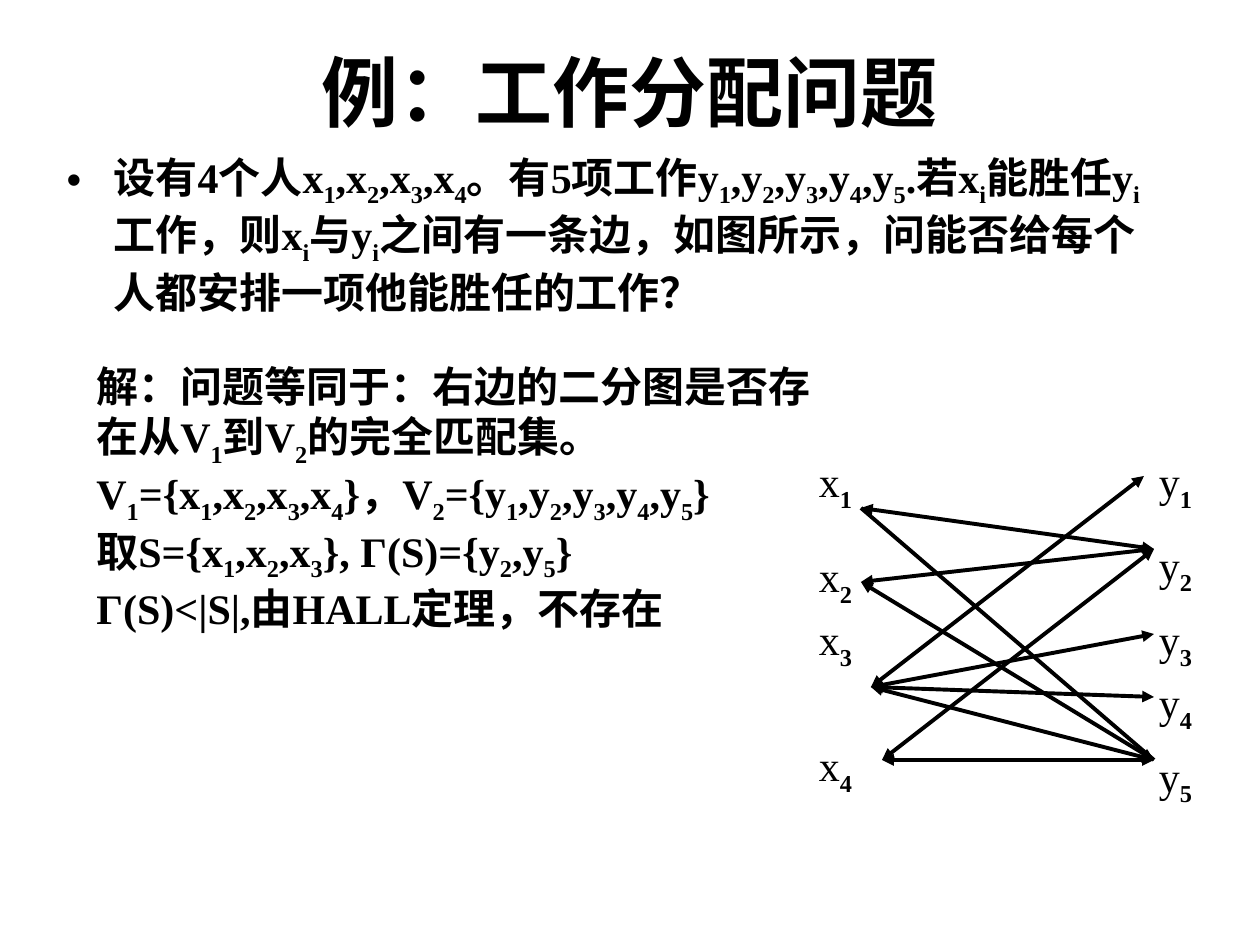
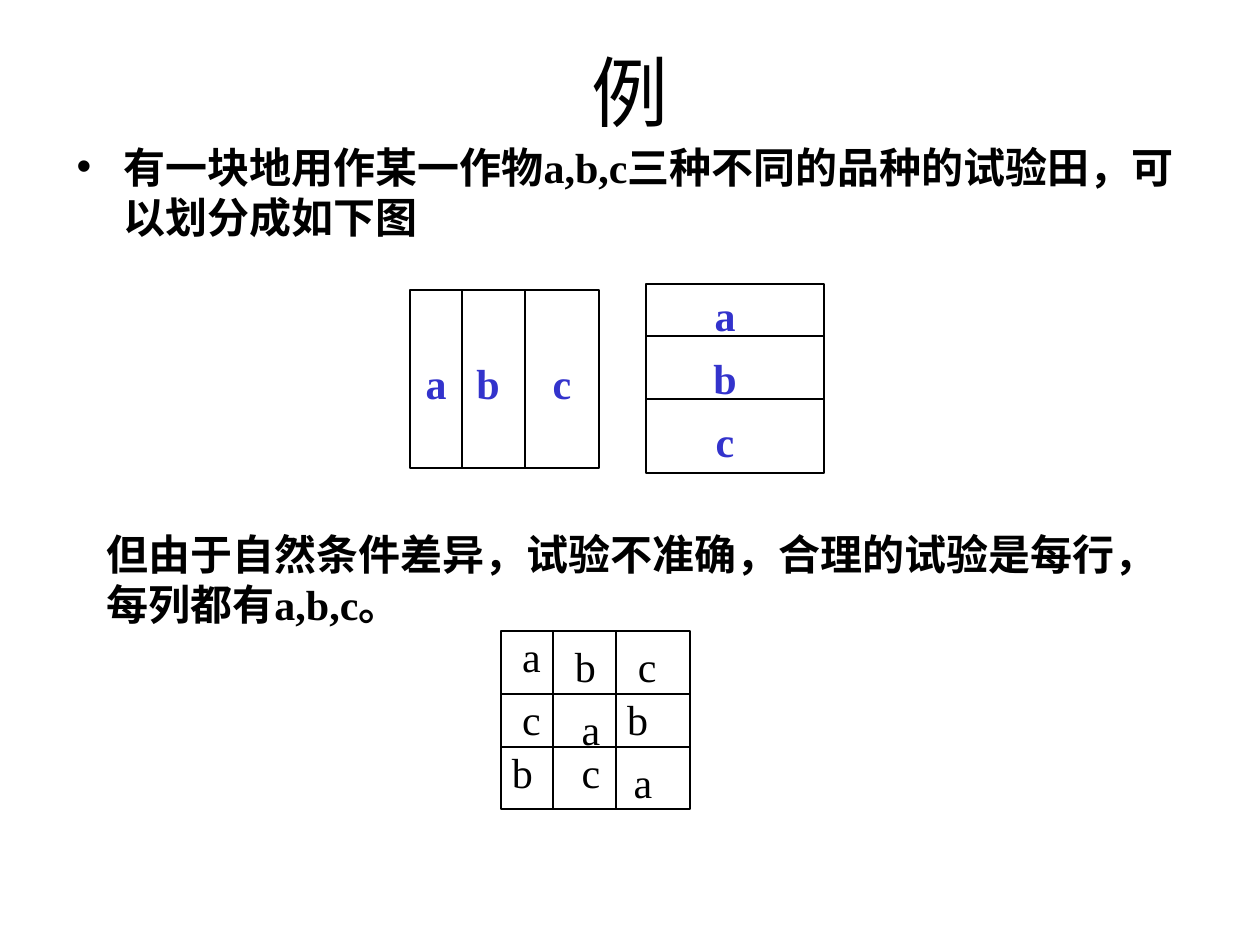
import pptx
import pptx.dml.color
import pptx.enum.shapes
import pptx.enum.text
import pptx.oxml.ns
import pptx.util
from lxml import etree

PX = 914400 / 126
FONT = "Times New Roman"
COLORS = {"ink": "000000", "letter": "3333CC", "paper": "FFFFFF"}
TITLE_BOX = (63, 38, 1134, 158)
LEFT = pptx.enum.text.PP_ALIGN.LEFT
CENTER = pptx.enum.text.PP_ALIGN.CENTER


def px(*values):
    """Turn whole px into EMU."""
    return [pptx.util.Emu(round(v * PX)) for v in values]


def rgb(name):
    """Look up a colour by name."""
    return pptx.dml.color.RGBColor.from_string(COLORS[name])


def sub(parent, tag, **attrs):
    """Append a drawing element with attributes."""
    return etree.SubElement(parent, pptx.oxml.ns.qn(tag), attrs)


def write(tf, text, size=24, bold=False, sub_bold=None, color="ink", align=LEFT):
    """Fill a frame, one paragraph a line; the character after _ is a subscript."""
    tf.word_wrap = True
    tf.auto_size = pptx.enum.text.MSO_AUTO_SIZE.NONE
    tf.vertical_anchor = pptx.enum.text.MSO_ANCHOR.TOP
    for i, line in enumerate(text.split("\n")):
        p = tf.add_paragraph() if i else tf.paragraphs[0]
        p.alignment = align
        p.space_before = pptx.util.Pt(0)
        first, *rest = line.split("_")
        pieces = [(first, False)]
        for part in rest:
            pieces += [(part[0], True), (part[1:], False)]
        for piece, lowered in pieces:
            if not piece:
                continue
            r = p.add_run()
            r.text = piece
            r.font.name = FONT
            r.font.size = pptx.util.Pt(size)
            r.font.bold = sub_bold if lowered and sub_bold is not None else bold
            r.font.color.rgb = rgb(color)
            if lowered:
                r.font._element.set("baseline", "-25000")


def add_text(shapes, box, text, inset=True, **fmt):
    """Add a text box, with or without the usual insets."""
    tf = shapes.add_textbox(*px(*box)).text_frame
    if not inset:
        tf.margin_left = tf.margin_top = tf.margin_right = tf.margin_bottom = 0
    write(tf, text, **fmt)


def add_line(shapes, start, end, width=1, arrows=False):
    """Draw a straight line, with arrowheads at both ends if asked."""
    kind = pptx.enum.shapes.MSO_CONNECTOR.STRAIGHT
    sp = shapes.add_connector(kind, *px(*start, *end))
    sp.line.color.rgb = rgb("ink")
    sp.line.width = pptx.util.Pt(width)
    if arrows:
        ln = sp.line._get_or_add_ln()
        for tag in ("a:headEnd", "a:tailEnd"):
            sub(ln, tag, type="triangle")
    sub(sp._element.spPr, "a:effectLst")


def add_slide(prs, title, body, body_box, title_bold):
    """Add a slide with its title and bulleted statement."""
    slide = prs.slides.add_slide(prs.slide_layouts[1])
    slide.background.fill.solid()
    slide.background.fill.fore_color.rgb = rgb("paper")
    for sp, box in ((slide.shapes.title, TITLE_BOX), (slide.placeholders[1], body_box)):
        sp.left, sp.top, sp.width, sp.height = px(*box)
    write(slide.shapes.title.text_frame, title, size=44, bold=title_bold, align=CENTER)
    tf = slide.placeholders[1].text_frame
    write(tf, body, bold=True)
    for p in tf.paragraphs:
        pPr = p._p.get_or_add_pPr()
        indent = px(47)[0]
        pPr.set("marL", str(indent))
        pPr.set("indent", str(-indent))
    return slide


def add_graph(slide, left, top):
    """Draw the bipartite graph of people and jobs."""
    shapes = slide.shapes.add_group_shape().shapes
    nodes = {"x1": (42, 52), "x2": (42, 126), "x3": (52, 231), "x4": (63, 304),
             "y1": (325, 20), "y2": (335, 93), "y3": (335, 178),
             "y4": (335, 241), "y5": (335, 304)}
    nodes = {name: (left + x, top + y) for name, (x, y) in nodes.items()}
    edges = {"x1": "2", "x2": "25", "x3": "1345", "x4": "25"}
    for person, jobs in edges.items():
        for job in jobs:
            add_line(shapes, nodes[person], nodes["y" + job], 2.25, arrows=True)
    add_line(shapes, nodes["x1"], nodes["y5"], 2.25)
    columns = (("x", 0, (0, 95, 158, 284)), ("y", 340, (0, 83, 158, 221, 294)))
    for name, dx, tops in columns:
        for i, dy in enumerate(tops, 1):
            add_text(shapes, (left + dx, top + dy, 63, 58), f"{name}_{i}",
                     inset=False, sub_bold=True)


def add_field(slide, box, letters, columns=(), rows=(), **fmt):
    """Draw a field cut into columns and rows, with letters (text, dx, dy, align)."""
    left, top, width, height = box
    shapes = slide.shapes.add_group_shape().shapes
    sp = shapes.add_shape(pptx.enum.shapes.MSO_SHAPE.RECTANGLE, *px(*box))
    sp.shadow.inherit = False
    sp.fill.background()
    sp.line.color.rgb = rgb("ink")
    sp.line.width = pptx.util.Pt(1)
    for dx in columns:
        add_line(shapes, (left + dx, top), (left + dx, top + height))
    for dy in rows:
        add_line(shapes, (left, top + dy), (left + width, top + dy))
    for text, dx, dy, align in letters:
        add_text(shapes, (left + dx, top + dy, 32, 50), text,
                 inset=False, align=align, **fmt)


def build_jobs(prs):
    """Build the job assignment slide."""
    slide = add_slide(
        prs, "例：工作分配问题",
        "设有4个人x_1,x_2,x_3,x_4。有5项工作y_1,y_2,y_3,y_4,y_5.若x_i能胜任y_i工作，"
        "则x_i与y_i之间有一条边，如图所示，问能否给每个人都安排一项他能胜任的工作？",
        (54, 145, 1134, 282), True)
    add_text(slide.shapes, (84, 354, 764, 286),
             "解：问题等同于：右边的二分图是否存在从V_1到V_2的完全匹配集。\n"
             "V_1={x_1,x_2,x_3,x_4}，V_2={y_1,y_2,y_3,y_4,y_5}\n"
             "取S={x_1,x_2,x_3}, Γ(S)={y_2,y_5}\n"
             "Γ(S)<|S|,由HALL定理，不存在", bold=True)
    add_graph(slide, 819, 456)


def build_fields(prs):
    """Build the trial field slide."""
    slide = add_slide(
        prs, "例", "有一块地用作某一作物a,b,c三种不同的品种的试验田，可以划分成如下图",
        (64, 135, 1134, 624), False)
    cuts = (52, 115)
    accent = {"bold": True, "color": "letter"}
    across = [(t, dx, 68, CENTER) for t, dx in zip("abc", (10, 62, 136))]
    down = [(t, 63, 6 + 63 * i, CENTER) for i, t in enumerate("abc")]
    add_field(slide, (410, 290, 189, 178), across, columns=cuts, **accent)
    add_field(slide, (646, 284, 178, 189), down, rows=cuts, **accent)
    add_text(slide.shapes, (94, 522, 1101, 113),
             "但由于自然条件差异，试验不准确，合理的试验是每行，每列都有a,b,c。", bold=True)
    square = [("a", 21, 0, LEFT), ("b", 74, 10, LEFT), ("c", 137, 10, LEFT),
              ("c", 21, 63, LEFT), ("a", 74, 73, CENTER), ("b", 126, 63, LEFT),
              ("b", 11, 116, LEFT), ("c", 74, 116, CENTER), ("a", 126, 126, CENTER)]
    add_field(slide, (501, 631, 189, 178), square, columns=cuts, rows=(63, 116))


def main():
    """Build and save the presentation."""
    prs = pptx.Presentation()
    prs.slide_width, prs.slide_height = px(1260, 945)
    build_jobs(prs)
    build_fields(prs)
    prs.save("out.pptx")


if __name__ == "__main__":
    main()
